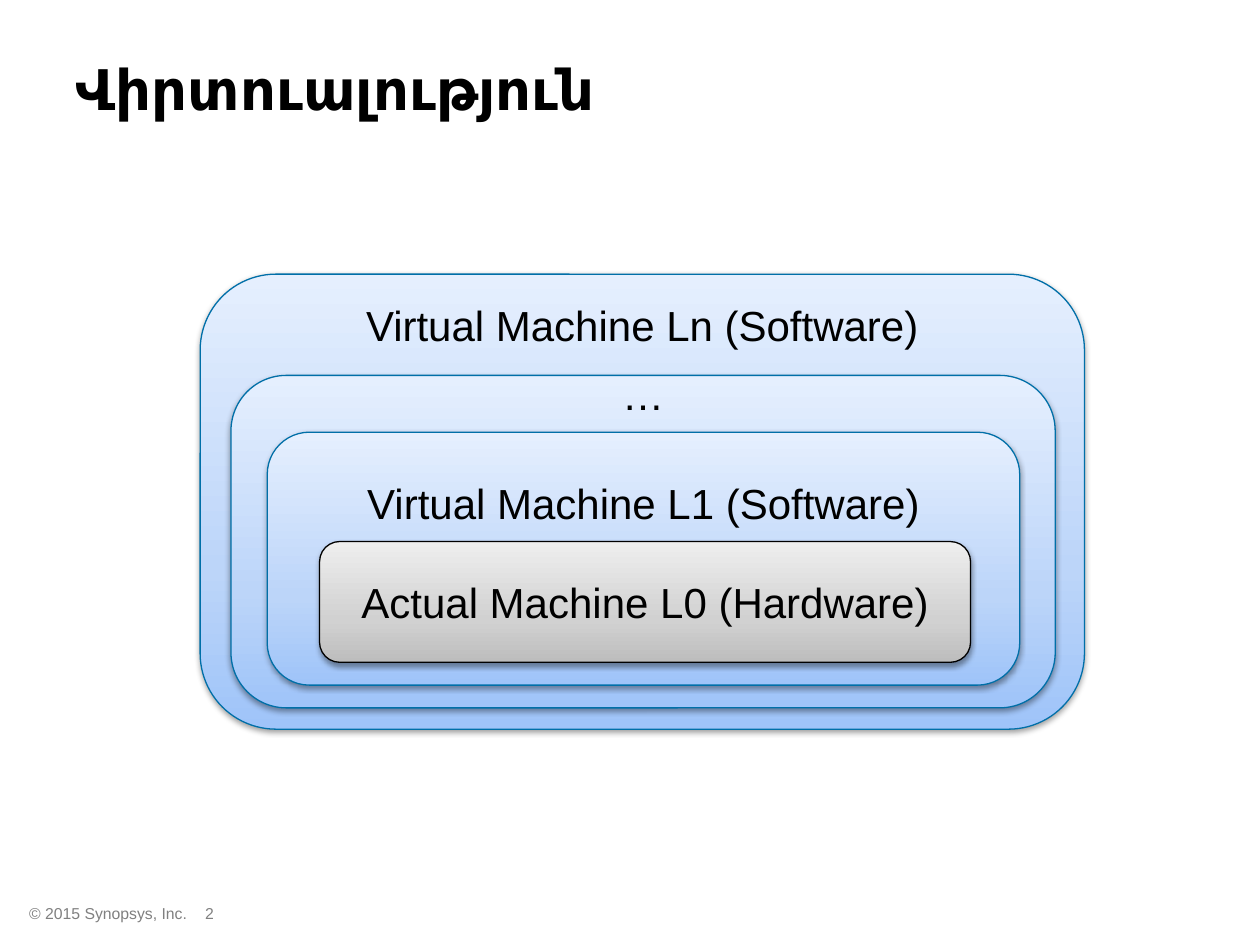
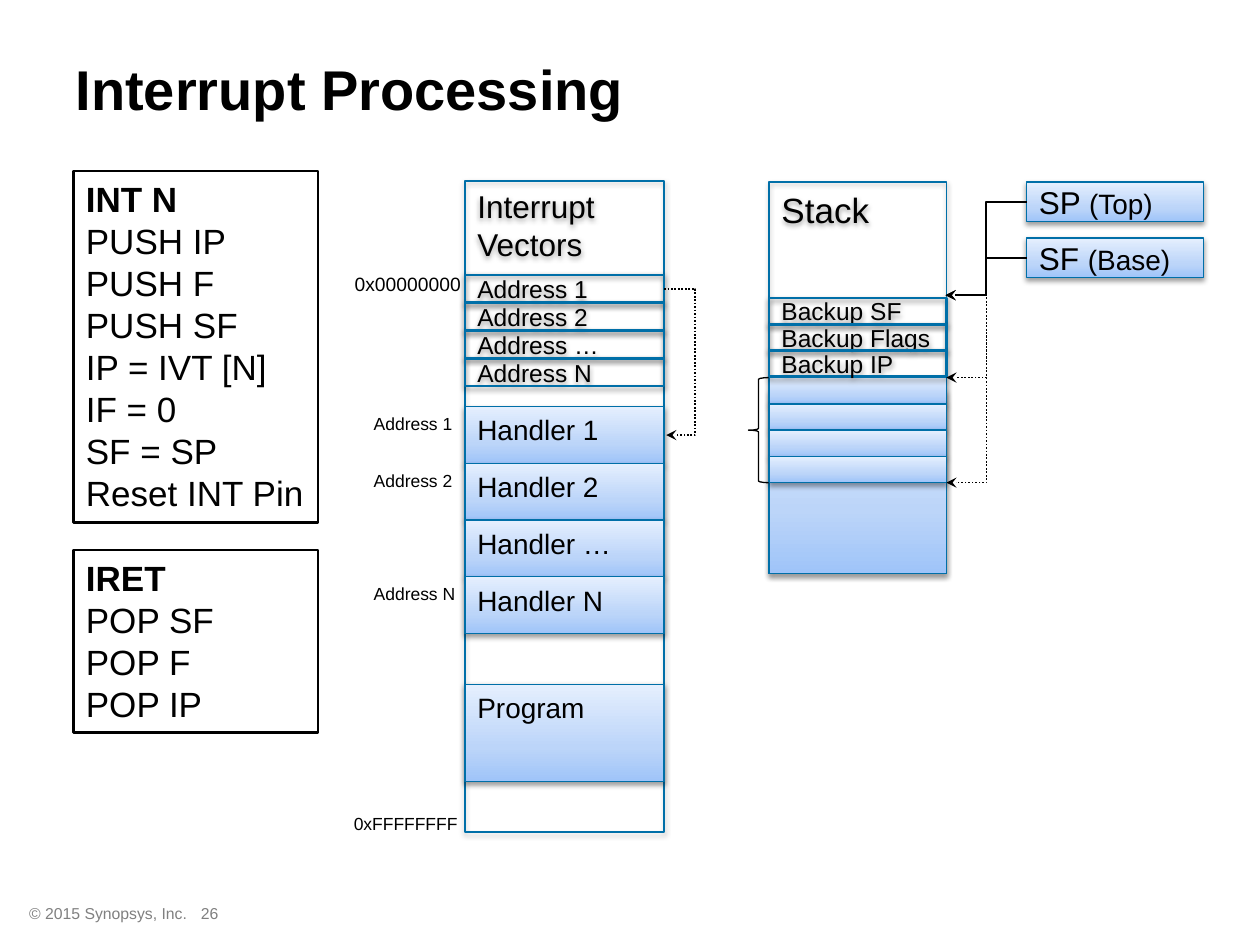
import copy
from dataclasses import dataclass

import pptx
import pptx.dml.color
import pptx.enum.dml
import pptx.enum.shapes
import pptx.enum.text
import pptx.oxml
import pptx.oxml.ns
import pptx.util
from lxml import etree

Pt = pptx.util.Pt
RGBColor = pptx.dml.color.RGBColor
SHAPE = pptx.enum.shapes.MSO_SHAPE
ANCHOR = pptx.enum.text.MSO_ANCHOR
ALIGN = pptx.enum.text.PP_ALIGN
qn = pptx.oxml.ns.qn

FONT = "Arial"
FOOTER_TOP = 513
COLORS = {"text": "000000", "footer": "808080", "edge": "006FA8", "black": "000000"}
# Gradients run from the bottom edge to the top edge.
GRADIENTS = {
    "blue": ("9FC4F9", "BCD5F9", "E5EFFE"),
    "gray": ("BDBDBD", "D1D1D1", "EEEEEE"),
}
GRADIENT_STOPS = (0, 0.35, 1)


@dataclass
class Box:
    x: float
    y: float
    w: float
    h: float
    text: str = ""
    size: float = 16
    note: str = ""
    gradient: str = ""
    edge: str = "edge"
    edge_width: float = 0.75
    anchor: ANCHOR = ANCHOR.TOP
    align: ALIGN = ALIGN.LEFT
    geometry: SHAPE = SHAPE.RECTANGLE
    shadow: bool = True
    band: float = 0  # height of the strip at the top that holds the text


@dataclass
class Label:
    x: float
    y: float
    w: float
    text: str
    size: float = 10
    color: str = "text"
    align: ALIGN = ALIGN.LEFT


@dataclass
class Elbow:
    x1: float
    y1: float
    x2: float
    y2: float
    dotted: bool = False
    bend: float = 0.5


def rgb(name: str) -> RGBColor:
    return RGBColor.from_string(COLORS[name])


def style_paragraph(p, size: float, color: str = "text", bold: bool = False,
                    align: ALIGN = ALIGN.LEFT) -> None:
    p.alignment = align
    p.font.name = FONT
    p.font.size = Pt(size)
    p.font.bold = bold
    p.font.color.rgb = rgb(color)


def fill_gradient(sp, name: str) -> None:
    sp.fill.gradient()
    sp.fill.gradient_angle = 90
    stops = sp._element.spPr.find(".//" + qn("a:gsLst"))
    stops.append(copy.deepcopy(stops[0]))
    for stop, position, color in zip(sp.fill.gradient_stops, GRADIENT_STOPS, GRADIENTS[name]):
        stop.position = position
        stop.color.rgb = RGBColor.from_string(color)


def add_soft_shadow(sp) -> None:
    effects = sp._element.spPr.find(qn("a:effectLst"))
    shadow = etree.SubElement(effects, qn("a:outerShdw"), blurRad=str(Pt(3.1)),
                              dist=str(Pt(1.6)), dir="5400000", rotWithShape="0")
    color = etree.SubElement(shadow, qn("a:srgbClr"), val=COLORS["black"])
    etree.SubElement(color, qn("a:alpha"), val="38000")


def draw_box(s, box: Box):
    sp = s.shapes.add_shape(box.geometry, Pt(box.x), Pt(box.y), Pt(box.w), Pt(box.h))
    sp.shadow.inherit = False
    if box.gradient:
        fill_gradient(sp, box.gradient)
    else:
        sp.fill.background()
    sp.line.color.rgb = rgb(box.edge)
    sp.line.width = Pt(box.edge_width)
    if box.shadow:
        add_soft_shadow(sp)
    if box.text:
        tf = sp.text_frame
        tf.word_wrap = True
        tf.vertical_anchor = box.anchor
        if box.band:
            tf.margin_top = 0
            tf.margin_bottom = Pt(box.h - box.band)
        tf.text = box.text
        for p in tf.paragraphs:
            style_paragraph(p, box.size, align=box.align)
        if box.note:
            r = tf.paragraphs[0].add_run()
            r.text = box.note
            r.font.size = Pt(16)
    return sp


def draw_label(s, label: Label) -> None:
    tf = s.shapes.add_textbox(Pt(label.x), Pt(label.y), Pt(label.w), Pt(18)).text_frame
    tf.word_wrap = True
    tf.text = label.text
    style_paragraph(tf.paragraphs[0], label.size, label.color, align=label.align)


def draw_elbow(s, elbow: Elbow) -> None:
    cx = s.shapes.add_connector(pptx.enum.shapes.MSO_CONNECTOR.ELBOW, Pt(elbow.x1),
                                Pt(elbow.y1), Pt(elbow.x2), Pt(elbow.y2))
    cx.line.color.rgb = rgb("black")
    cx.line.width = Pt(1)
    if elbow.dotted:
        cx.line.dash_style = pptx.enum.dml.MSO_LINE.ROUND_DOT
    spPr = cx._element.spPr
    etree.SubElement(spPr.find(qn("a:ln")), qn("a:tailEnd"), type="stealth")
    etree.SubElement(spPr, qn("a:effectLst"))
    guides = spPr.find(qn("a:prstGeom")).get_or_add_avLst()
    etree.SubElement(guides, qn("a:gd"), name="adj1", fmla=f"val {round(elbow.bend * 100000)}")


def add_slide(prs, title: str, number: int):
    """Add a slide with its title and footer."""
    s = prs.slides.add_slide(prs.slide_layouts[5])
    sp = s.shapes.title
    sp.left, sp.top, sp.width, sp.height = Pt(36), Pt(5.5), Pt(684), Pt(90)
    tf = sp.text_frame
    tf.text = title
    tf.vertical_anchor = ANCHOR.MIDDLE
    tf.auto_size = pptx.enum.text.MSO_AUTO_SIZE.NONE
    style_paragraph(tf.paragraphs[0], 32, bold=True)
    draw_label(s, Label(9.6, FOOTER_TOP, 222, "© 2015 Synopsys, Inc.", 9, "footer"))
    draw_label(s, Label(94.6, FOOTER_TOP, 50.4, str(number), 9, "footer", ALIGN.CENTER))
    return s


def build_virtuality(prs) -> None:
    s = add_slide(prs, "Վիրտուալություն", 2)
    look = dict(size=24, anchor=ANCHOR.MIDDLE, align=ALIGN.CENTER,
                geometry=SHAPE.ROUNDED_RECTANGLE)
    layers = [
        Box(114.4, 156.7, 505.3, 260, "Virtual Machine Ln (Software)",
            gradient="blue", band=57.5, **look),
        Box(132, 214.5, 471, 190, "…", gradient="blue", band=21, **look),
        Box(152.7, 247, 430, 144.5, "Virtual Machine L1 (Software)",
            gradient="blue", band=81, **look),
        Box(182.6, 309.5, 372, 69, "Actual Machine L0 (Hardware)",
            gradient="gray", edge="black", **look),
    ]
    for layer in layers:
        draw_box(s, layer)


def draw_code(s, y: float, h: float, *lines: str) -> None:
    sp = draw_box(s, Box(42, y, 139.8, h, "\n".join(lines), 20, edge="black",
                         edge_width=1.5, shadow=False))
    sp.text_frame.paragraphs[0].font.bold = True


def draw_memory(s) -> None:
    x, w = 265.7, 113.8
    vector_top, vector_h = 157.1, 15.9
    handler_top, handler_h = 232.4, 32.4
    draw_box(s, Box(x, 103.5, w, 372, "Interrupt Vectors", 18))
    for i, name in enumerate(("1", "2", "…", "N")):
        draw_box(s, Box(x, vector_top + i * vector_h, w, vector_h, f"Address {name}", 14,
                        edge_width=1.5, anchor=ANCHOR.MIDDLE))
        y = handler_top + i * handler_h
        draw_box(s, Box(x, y, w, handler_h, f"Handler {name}", gradient="blue"))
        if name != "…":
            draw_label(s, Label(206.5, y, 66, f"Address {name}"))
    draw_box(s, Box(x, 391, w, 55.6, "Program", gradient="blue"))
    draw_label(s, Label(195.6, 152, 75, "0x00000000", 11))
    draw_label(s, Label(195.1, 461, 75, "0xFFFFFFFF"))

    start, end, turn = x + w, x + w + 1.2, x + w + 18
    draw_elbow(s, Elbow(start, vector_top + vector_h / 2, end, handler_top + handler_h / 2,
                        dotted=True, bend=(turn - start) / (end - start)))


def draw_stack(s) -> None:
    x, w, row_h = 439.5, 101.3, 15
    backup_top, frame_top = 170.3, 215.8
    frame_bottom = frame_top + 4 * row_h
    draw_box(s, Box(x, 104, w, 223.8, "Stack", 20))
    draw_box(s, Box(x, 223.3, w, 104.5, gradient="blue"))
    for i in range(4):
        draw_box(s, Box(x, frame_top + i * row_h, w, row_h, gradient="blue"))
    for i, name in enumerate(("SF", "Flags", "IP")):
        draw_box(s, Box(x, backup_top + i * row_h, w, row_h, f"Backup {name}", 14,
                        edge_width=1.5, anchor=ANCHOR.MIDDLE))
    draw_box(s, Box(x - 11.8, frame_top, 11.5, frame_bottom - frame_top, edge="black",
                    geometry=SHAPE.LEFT_BRACE, shadow=False))

    pointer_x, pointer_h = 586.6, 22.8
    pointers = (("SP ", "(Top)", 104, frame_top), ("SF ", "(Base)", 136, frame_bottom))
    for name, note, y, old_target in pointers:
        draw_box(s, Box(pointer_x, y, w, pointer_h, name, 18, note, "blue",
                        anchor=ANCHOR.MIDDLE))
        middle = y + pointer_h / 2
        draw_elbow(s, Elbow(pointer_x, middle, x + w, old_target, dotted=True))
        draw_elbow(s, Elbow(pointer_x, middle, x + w - 0.5, 168.7))


def build_interrupts(prs) -> None:
    s = add_slide(prs, "Interrupt Processing", 26)
    draw_code(s, 97.7, 201, "INT N", "PUSH IP", "PUSH F", "PUSH SF", "IP = IVT [N]",
              "IF = 0", "SF = SP", "Reset INT Pin")
    draw_code(s, 314.3, 104.3, "IRET", "POP SF", "POP F", "POP IP")
    draw_memory(s)
    draw_stack(s)


def main() -> None:
    prs = pptx.Presentation()
    prs.slide_width, prs.slide_height = Pt(720), Pt(540)
    build_virtuality(prs)
    build_interrupts(prs)
    prs.save("out.pptx")


if __name__ == "__main__":
    main()
